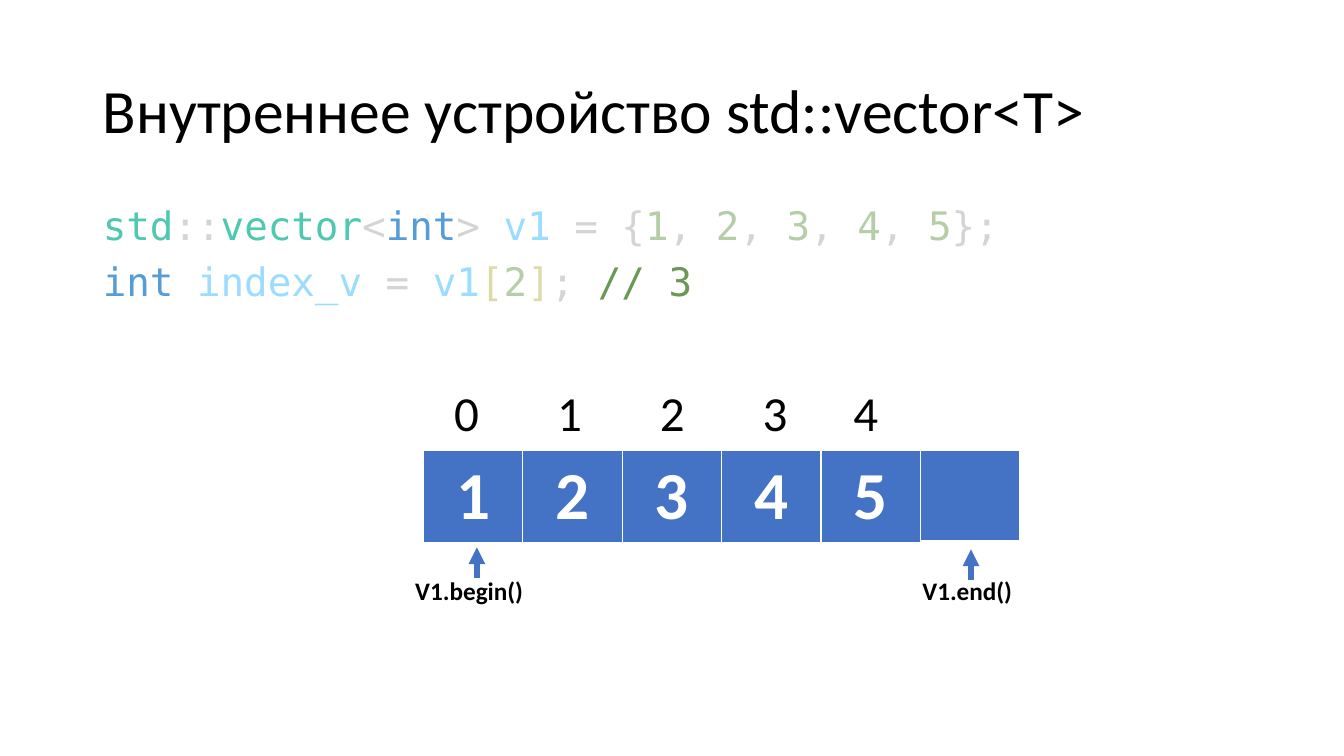
from lxml import etree
from pptx import Presentation
from pptx.dml.color import RGBColor
from pptx.enum.shapes import MSO_CONNECTOR
from pptx.enum.text import MSO_ANCHOR, MSO_AUTO_SIZE, PP_ALIGN
from pptx.oxml.ns import qn
from pptx.util import Inches, Pt

STRAIGHT = MSO_CONNECTOR.STRAIGHT
TOP, MIDDLE = MSO_ANCHOR.TOP, MSO_ANCHOR.MIDDLE
LEFT, CENTER = PP_ALIGN.LEFT, PP_ALIGN.CENTER
NO_FIT = MSO_AUTO_SIZE.NONE

TEXT_FONT, CODE_FONT = "Calibri", "DejaVu Sans Mono"
COLORS = {
    "text": "000000", "white": "FFFFFF", "cell": "4472C4",
    "type": "4EC9B0", "mark": "D4D4D4", "keyword": "569CD6",
    "name": "9CDCFE", "number": "B5CEA8", "bracket": "DCDCAA",
    "comment": "6A9955",
}

TITLE = "Внутреннее устройство std::vector<T>"
VALUES = ["1", "2", "3", "4", "5"]
CODE = [
    [("std", "type"), ("::", "mark"), ("vector", "type"), ("<", "mark"),
     ("int", "keyword"), ("> ", "mark"), ("v1", "name"), (" = {", "mark")]
    + [token for value in VALUES
       for token in ((value, "number"), (", ", "mark"))][:-1]
    + [("};", "mark")],
    [("int ", "keyword"), ("index_v", "name"), (" = ", "mark"),
     ("v1", "name"), ("[", "bracket"), ("2", "number"), ("]", "bracket"),
     (";", "mark"), (" // 3", "comment")],
]
INDEX_STOPS = [0.33, 1.35, 2.37, 3.39, 4.29]
# label, left, width, arrow x, arrow bottom
ITERATORS = [
    ("V1.begin()", 4.02, 1.27, 4.73, 5.73),
    ("V1.end()", 9.05, 1.16, 9.63, 5.75),
]

GRID_LEFT, GRID_TOP = 4.2, 4.47
CELL_WIDTH, CELL_HEIGHT = 0.986, 0.89
GRID_WIDTH = CELL_WIDTH * len(VALUES)
ARROW_LENGTH = 0.3


def style(span, size, color="text", font=TEXT_FONT, bold=False):
    """Set the font of one run."""
    span.font.size = Pt(size)
    span.font.name = font
    span.font.bold = bold
    span.font.color.rgb = RGBColor.from_string(COLORS[color])


def place(shape, left, top, width, height):
    """Move and resize a shape, in inches."""
    shape.left, shape.top = Inches(left), Inches(top)
    shape.width, shape.height = Inches(width), Inches(height)


def add_title(page):
    """Fill the title placeholder."""
    box = page.shapes.title
    place(box, 0.92, 0.4, 11.5, 1.45)
    frame = box.text_frame
    frame.text = TITLE
    frame.auto_size, frame.vertical_anchor = NO_FIT, MIDDLE
    para = frame.paragraphs[0]
    para.alignment, para.line_spacing = LEFT, 0.9
    style(para.runs[0], 44)


def add_code(page):
    """Fill the body placeholder with coloured code lines."""
    box = page.placeholders[1]
    place(box, 0.92, 2, 11.5, 4.76)
    frame = box.text_frame
    frame.auto_size, frame.vertical_anchor = NO_FIT, TOP
    for number, tokens in enumerate(CODE):
        para = frame.add_paragraph() if number else frame.paragraphs[0]
        para.line_spacing, para.space_before = 0.9, Pt(10)
        properties = para._p.get_or_add_pPr()
        properties.set("marL", "0")
        properties.set("indent", "0")
        etree.SubElement(properties, qn("a:buNone"))
        for text, color in tokens:
            span = para.add_run()
            span.text = text
            style(span, 28, color, CODE_FONT)


def add_cells(page, left, values):
    """Add a one-row table of vector cells."""
    table = page.shapes.add_table(
        1, len(values), Inches(left), Inches(GRID_TOP),
        Inches(CELL_WIDTH * len(values)), Inches(CELL_HEIGHT)).table
    for cell, value in zip(table.rows[0].cells, values):
        cell.fill.solid()
        cell.fill.fore_color.rgb = RGBColor.from_string(COLORS["cell"])
        cell.text = value
        para = cell.text_frame.paragraphs[0]
        para.alignment = CENTER
        for span in para.runs:
            style(span, 48, "white", bold=True)


def add_label(page, text, area, size, bold=False):
    """Add a text box and return its paragraph."""
    box = page.shapes.add_textbox(*map(Inches, area))
    box.text_frame.word_wrap = True
    para = box.text_frame.paragraphs[0]
    para.text = text
    style(para.runs[0], size, bold=bold)
    return para


def add_indices(page):
    """Add the index row, each number centred on a tab stop."""
    text = "".join(f"\t{index}" for index in range(len(VALUES)))
    para = add_label(page, text, (GRID_LEFT, 3.75, GRID_WIDTH, 0.69), 35)
    stops = etree.SubElement(para._p.get_or_add_pPr(), qn("a:tabLst"))
    for stop in INDEX_STOPS:
        etree.SubElement(stops, qn("a:tab"), pos=str(Inches(stop)), algn="ctr")


def add_arrow(page, x, bottom):
    """Add an upward arrow."""
    arrow = page.shapes.add_connector(
        STRAIGHT, Inches(x), Inches(bottom),
        Inches(x), Inches(bottom - ARROW_LENGTH))
    arrow.line.color.rgb = RGBColor.from_string(COLORS["cell"])
    arrow.line.width = Pt(4)
    etree.SubElement(arrow.line._get_or_add_ln(), qn("a:tailEnd"),
                     type="triangle")
    etree.SubElement(arrow._element.spPr, qn("a:effectLst"))


deck = Presentation()
deck.slide_width, deck.slide_height = Inches(13.33), Inches(7.5)
page = deck.slides.add_slide(deck.slide_layouts[1])
add_title(page)
add_code(page)
add_cells(page, GRID_LEFT, VALUES)
add_indices(page)
add_cells(page, GRID_LEFT + GRID_WIDTH, [""])
for label, left, width, _, _ in ITERATORS:
    add_label(page, label, (left, 5.66, width, 0.4), 18, bold=True)
for _, _, _, x, bottom in ITERATORS:
    add_arrow(page, x, bottom)
deck.save("out.pptx")
